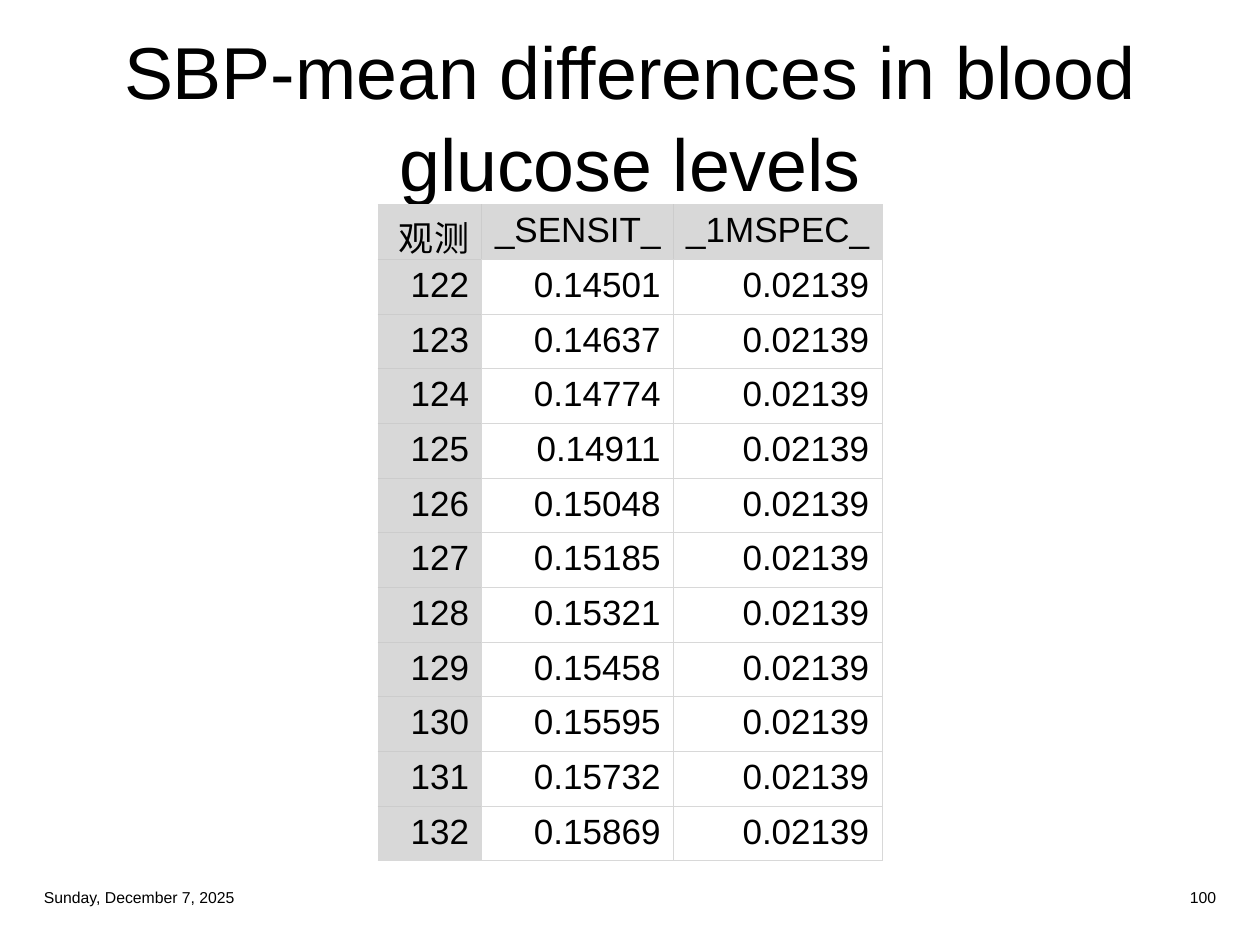
from lxml.etree import SubElement
from pptx import Presentation
from pptx.dml.color import RGBColor
from pptx.enum.text import MSO_ANCHOR, PP_ALIGN
from pptx.oxml.ns import qn
from pptx.util import Emu, Pt

PX = 9525
FONT = "Arial"
BLACK = RGBColor(0x00, 0x00, 0x00)
WHITE = RGBColor(0xFF, 0xFF, 0xFF)
HEADER_GRAY = RGBColor(0xD8, 0xD8, 0xD8)
HEADER_RULE = RGBColor(0xCC, 0xCC, 0xCC)

HEADINGS = ["观测", "_SENSIT_", "_1MSPEC_"]
FIRST_OBSERVATION = 122
SENSITIVITIES = ["0.14501", "0.14637", "0.14774", "0.14911", "0.15048", "0.15185",
                 "0.15321", "0.15458", "0.15595", "0.15732", "0.15869"]
ONE_MINUS_SPECIFICITY = "0.02139"
COLUMN_WIDTHS = [79, 146, 159]


def px(n):
    """Turn a length in pixels into EMU."""
    return Emu(n * PX)


def style_paragraph(p, size, align):
    """Align a paragraph and set the font of its runs."""
    p.alignment = align
    for r in p.runs:
        r.font.name = FONT
        r.font.size = Pt(size)
        r.font.color.rgb = BLACK


def add_text(s, box, text, size, align):
    """Add a vertically centred line of text in a box and return its frame."""
    tf = s.shapes.add_textbox(*map(px, box)).text_frame
    tf.word_wrap = True
    tf.vertical_anchor = MSO_ANCHOR.MIDDLE
    tf.text = text
    style_paragraph(tf.paragraphs[0], size, align)
    return tf


def add_title(s, box):
    """Add the two-line slide title."""
    tf = add_text(s, box, "SBP-mean differences in blood\vglucose levels", 42, PP_ALIGN.CENTER)
    tf.margin_top = tf.margin_bottom = 0
    tf.paragraphs[0].line_spacing = 1.04


def style_cell(cell, is_header, borders):
    """Fill a cell, format its text and draw its four borders."""
    style_paragraph(cell.text_frame.paragraphs[0], 20, PP_ALIGN.RIGHT)
    tc_pr = cell._tc.get_or_add_tcPr()
    for side, color in borders.items():
        line = SubElement(tc_pr, qn(f"a:ln{side}"), w=str(Pt(0.5)))
        fill = SubElement(line, qn("a:solidFill"))
        SubElement(fill, qn("a:srgbClr"), val=str(color))
    cell.fill.solid()
    cell.fill.fore_color.rgb = HEADER_GRAY if is_header else WHITE


def add_observations(s, box):
    """Add the table of observations with a shaded first row and column."""
    rows = [HEADINGS] + [[str(n), value, ONE_MINUS_SPECIFICITY]
                         for n, value in enumerate(SENSITIVITIES, FIRST_OBSERVATION)]
    last_row, last_col = len(rows) - 1, len(HEADINGS) - 1
    table = s.shapes.add_table(len(rows), len(HEADINGS), *map(px, box)).table
    table.first_row = table.horz_banding = False
    for column, width in zip(table.columns, COLUMN_WIDTHS):
        column.width = px(width)
    for i, row in enumerate(rows):
        table.rows[i].height = px(box[3] // len(rows))
        for j, text in enumerate(row):
            is_header = i == 0 or j == 0
            outer = {"L": j == 0, "R": j == last_col, "T": i == 0, "B": i == last_row}
            borders = {side: HEADER_RULE if is_header and not edge else HEADER_GRAY
                       for side, edge in outer.items()}
            cell = table.cell(i, j)
            cell.text_frame.text = text
            style_cell(cell, is_header, borders)


def add_footer(s, box):
    """Add the date at the left and the slide number at the right of a box."""
    left, top, width, height = box
    part = 228
    add_text(s, (left, top, part, height), "Sunday, December 7, 2025", 9, PP_ALIGN.LEFT)
    add_text(s, (left + width - part, top, part, height), "100", 9, PP_ALIGN.RIGHT)


def main():
    """Build the slide and save it."""
    prs = Presentation()
    prs.slide_width, prs.slide_height = px(960), px(720)
    s = prs.slides.add_slide(prs.slide_layouts[6])
    add_title(s, (24, 24, 912, 126))
    add_observations(s, (288, 156, 384, 480))
    add_footer(s, (24, 671, 912, 25))
    prs.save("out.pptx")


if __name__ == "__main__":
    main()
